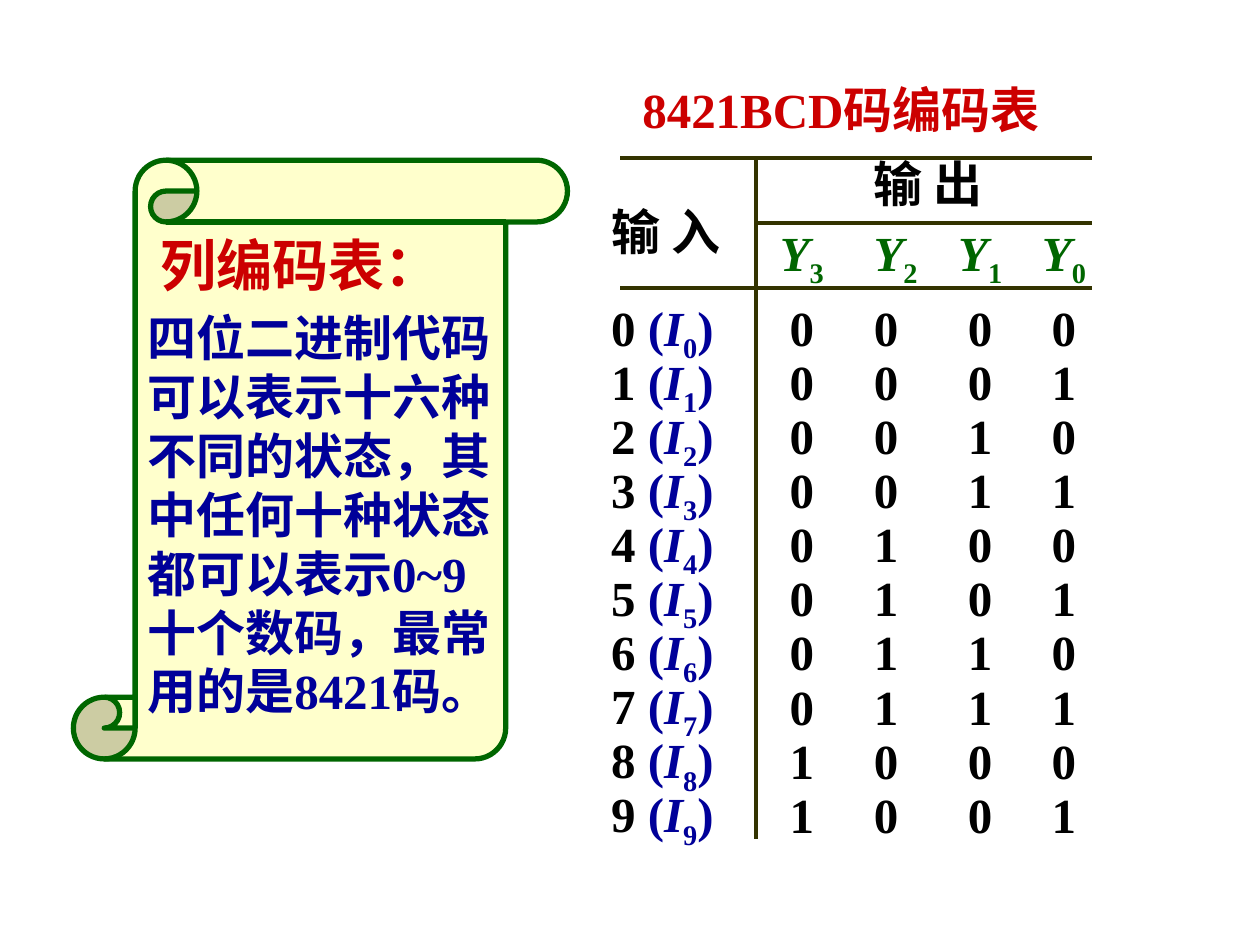
import dataclasses

import pptx
import pptx.dml.color
import pptx.enum.shapes
import pptx.enum.text
import pptx.oxml
import pptx.oxml.ns
import pptx.util

Cm, Pt = pptx.util.Cm, pptx.util.Pt
ALIGN = pptx.enum.text.PP_ALIGN
ANCHOR = pptx.enum.text.MSO_ANCHOR


@dataclasses.dataclass(frozen=True)
class Theme:
    font: str = "Times New Roman"
    heading: int = 32
    body: int = 28
    table_line: int = 24
    red: str = "CC0000"
    blue: str = "000099"
    green: str = "006600"
    black: str = "000000"
    rule: str = "333300"
    paper: str = "FFFFCC"
    rule_width: float = 2.25
    scroll_width: float = 3


THEME = Theme()


def rgb(color):
    return pptx.dml.color.RGBColor.from_string(color)


def add_run(p, text, color, size=THEME.body, italic=False, subscript=False):
    r = p.add_run()
    r.text = text
    r.font.name = THEME.font
    r.font.size = Pt(size)
    r.font.bold = True
    r.font.italic = italic
    r.font.color.rgb = rgb(color)
    if subscript:
        r.font._element.set("baseline", "-25000")


def add_variable(p, letter, index, color):
    add_run(p, letter, color, italic=True)
    add_run(p, str(index), color, subscript=True)


def add_scroll(s, left, top, width, height):
    sp = s.shapes.add_shape(pptx.enum.shapes.MSO_SHAPE.VERTICAL_SCROLL,
                            Cm(left), Cm(top), Cm(width), Cm(height))
    sp.shadow.inherit = False
    sp.fill.solid()
    sp.fill.fore_color.rgb = rgb(THEME.paper)
    sp.line.color.rgb = rgb(THEME.green)
    sp.line.width = Pt(THEME.scroll_width)
    tf = sp.text_frame
    tf.word_wrap = True
    tf.vertical_anchor = ANCHOR.MIDDLE
    heading, body = tf.paragraphs[0], tf.add_paragraph()
    for p in (heading, body):
        p.alignment = ALIGN.LEFT
        p.space_before = Pt(6)
    add_run(heading, " 列编码表：", THEME.red, THEME.heading)
    add_run(body, "四位二进制代码可以表示十六种不同的状态，其中任何十种状态"
                  "都可以表示0~9十个数码，最常用的是8421码。", THEME.blue)


def add_title(s, left, top, width, height):
    tf = s.shapes.add_textbox(Cm(left), Cm(top), Cm(width), Cm(height)).text_frame
    tf.word_wrap = True
    add_run(tf.paragraphs[0], "8421BCD码编码表", THEME.red)


def add_rule(s, x1, y1, x2, y2):
    line = s.shapes.add_connector(pptx.enum.shapes.MSO_CONNECTOR.STRAIGHT,
                                  Cm(x1), Cm(y1), Cm(x2), Cm(y2))
    line.line.color.rgb = rgb(THEME.rule)
    line.line.width = Pt(THEME.rule_width)
    line._element.spPr.append(pptx.oxml.parse_xml(
        f'<a:effectLst {pptx.oxml.ns.nsdecls("a")}/>'))


def set_up_cell(cell, align, left=0, right=0, bottom=0):
    """Make a plain cell whose text sits on the bottom margin."""
    cell.margin_left, cell.margin_right = Cm(left), Cm(right)
    cell.margin_top, cell.margin_bottom = 0, Cm(bottom)
    cell.vertical_anchor = ANCHOR.BOTTOM
    cell.fill.background()
    tcPr = cell._tc.get_or_add_tcPr()
    for i, side in enumerate("LRTB"):
        tcPr.insert(i, pptx.oxml.parse_xml(
            f'<a:ln{side} {pptx.oxml.ns.nsdecls("a")}><a:noFill/></a:ln{side}>'))
    p = cell.text_frame.paragraphs[0]
    p.alignment = align
    p.line_spacing = Pt(THEME.table_line)
    p.font.size = Pt(THEME.body)
    return p


def add_code_table(s, left, top, width):
    """Codes for the digits 0 to 9, under a two-row header, with rules."""
    bits, digits = 4, 10
    bit_widths = [2.03, 1.37, 2.24, 1.14]
    input_width = width - sum(bit_widths)
    col_widths = [input_width] + bit_widths
    header, pitch = 1.31, 1.09
    row_heights = [header, header, 1.47] + [pitch] * (digits - 1)
    table = s.shapes.add_table(len(row_heights), len(col_widths), Cm(left), Cm(top),
                               Cm(width), Cm(sum(row_heights))).table
    table.first_row = table.horz_banding = False
    for column, w in zip(table.columns, col_widths):
        column.width = Cm(w)
    for row, h in zip(table.rows, row_heights):
        row.height = Cm(h)

    table.cell(0, 0).merge(table.cell(1, 0))
    table.cell(0, 1).merge(table.cell(0, bits))
    code_right = [0.18, 0.18, 0, 0]
    name_left, name_right = [0, 0.2, 0, 0], [0.18, 0, 0, 0]

    p = set_up_cell(table.cell(0, 0), ALIGN.LEFT, bottom=0.54)
    add_run(p, "输 入", THEME.black)
    p = set_up_cell(table.cell(0, 1), ALIGN.CENTER, left=0.16, bottom=0.12)
    add_run(p, "输 出", THEME.black)
    for j in range(bits):
        p = set_up_cell(table.cell(1, j + 1), ALIGN.CENTER, name_left[j],
                        name_right[j], 0.04)
        add_variable(p, "Y", bits - 1 - j, THEME.green)
    for digit in range(digits):
        p = set_up_cell(table.cell(digit + 2, 0), ALIGN.LEFT)
        add_run(p, f"{digit} ", THEME.black)
        add_run(p, "(", THEME.blue)
        add_variable(p, "I", digit, THEME.blue)
        add_run(p, ")", THEME.blue)
        for j, bit in enumerate(f"{digit:04b}"):
            p = set_up_cell(table.cell(digit + 2, j + 1), ALIGN.CENTER,
                            right=code_right[j], bottom=0.15)
            add_run(p, bit, THEME.black)

    rule_left, right, divider = left + 0.18, left + width, left + input_width
    add_rule(s, rule_left, top, right, top)
    add_rule(s, divider, top, divider, top + 13.74)
    add_rule(s, rule_left, top + 2 * header, right, top + 2 * header)
    add_rule(s, divider, top + header, right, top + header)


def main():
    prs = pptx.Presentation()
    prs.slide_width, prs.slide_height = Cm(25.4), Cm(19.05)
    s = prs.slides.add_slide(prs.slide_layouts[6])
    add_scroll(s, 1.48, 3.23, 9.96, 12.07)
    add_title(s, 12.7, 1.47, 9.96, 1.45)
    add_code_table(s, 12.32, 3.18, 9.7)
    prs.save("out.pptx")


if __name__ == "__main__":
    main()
